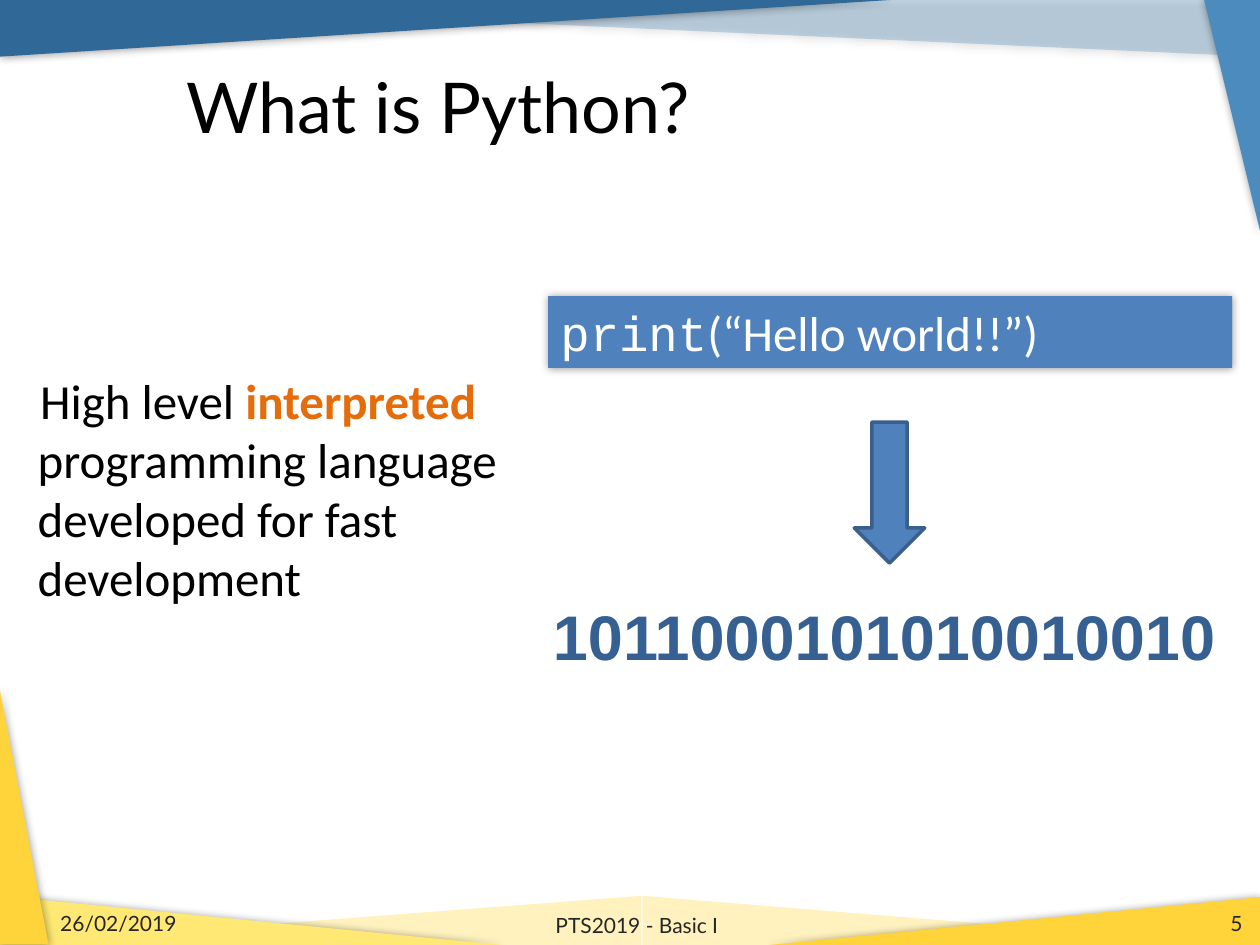
from dataclasses import dataclass

from lxml import etree
from pptx import Presentation
from pptx.dml.color import RGBColor
from pptx.enum.shapes import MSO_SHAPE
from pptx.enum.text import MSO_ANCHOR, PP_ALIGN
from pptx.oxml.ns import qn
from pptx.util import Emu, Pt

TRIANGLE, RECTANGLE, DOWN_ARROW = MSO_SHAPE.ISOSCELES_TRIANGLE, MSO_SHAPE.RECTANGLE, MSO_SHAPE.DOWN_ARROW
TOP, MIDDLE = MSO_ANCHOR.TOP, MSO_ANCHOR.MIDDLE
LEFT, CENTER, RIGHT = PP_ALIGN.LEFT, PP_ALIGN.CENTER, PP_ALIGN.RIGHT
TITLE_ONLY = 5
EMU_PER_PX = 9144
PAGE_WIDTH, PAGE_HEIGHT = 1000, 750


@dataclass(frozen=True)
class Theme:
    """Colours, fonts and type sizes of the deck."""
    navy: str = "306998"
    sky: str = "4B8BBE"
    gold: str = "FFD43B"
    lemon: str = "FFE873"
    cream: str = "FFF2BF"
    blue: str = "4F81BD"
    outline: str = "3A5F8C"
    binary: str = "376092"
    accent: str = "E46C0A"
    black: str = "000000"
    white: str = "FFFFFF"
    footer: str = "262626"
    heading_font: str = "Lato"
    body_font: str = "Calibri"
    code_font: str = "Courier New"
    binary_font: str = "Arial"
    title_size: int = 40
    binary_size: int = 36
    body_size: int = 28
    footer_size: int = 12


THEME = Theme()


def px(length):
    """Turn pixels into EMU."""
    return Emu(length * EMU_PER_PX)


def style_font(font, name, size, color, bold=False):
    """Set the look of a font."""
    font.name, font.size, font.bold = name, Pt(size), bold
    font.color.rgb = RGBColor.from_string(color)


def add_shadow(shape):
    """Give a shape a soft, centred shadow."""
    effects = shape._element.spPr.find(qn("a:effectLst"))
    shadow = etree.SubElement(effects, qn("a:outerShdw"), blurRad=str(Pt(5)), dist="0", dir="0")
    color = etree.SubElement(shadow, qn("a:srgbClr"), val=THEME.black)
    etree.SubElement(color, qn("a:alpha"), val="40000")


def add_solid(page, kind, box, color, shadow=False):
    """Add a filled shape without outline."""
    shape = page.shapes.add_shape(kind, *map(px, box))
    shape.fill.solid()
    shape.fill.fore_color.rgb = RGBColor.from_string(color)
    shape.line.fill.background()
    shape.shadow.inherit = False
    if shadow:
        add_shadow(shape)
    return shape


def add_wedge(page, box, color, flips="", rotation=0, opacity=100, shadow=True):
    """Add a right-angled triangle for the page border."""
    wedge = add_solid(page, TRIANGLE, box, color, shadow)
    wedge.adjustments[0] = 1
    wedge.rotation = rotation
    transform = wedge._element.spPr.find(qn("a:xfrm"))
    for axis in flips:
        transform.set(f"flip{axis}", "1")
    if opacity < 100:
        fill = wedge._element.spPr.find(qn("a:solidFill"))
        etree.SubElement(fill[0], qn("a:alpha"), val=str(opacity * 1000))


def add_text(page, box, text, anchor=TOP, align=LEFT, wrap=True):
    """Add a text box and return its frame and paragraph."""
    frame = page.shapes.add_textbox(*map(px, box)).text_frame
    frame.word_wrap, frame.vertical_anchor = wrap, anchor
    para = frame.paragraphs[0]
    para.text, para.alignment = text, align
    return frame, para


def add_border(page):
    """Draw the coloured wedges along the page edges."""
    add_wedge(page, (13, 0, 985, 45), THEME.sky, "H", 180, opacity=30)
    add_wedge(page, (510, 711, 478, 39), THEME.cream, "H", shadow=False)
    add_wedge(page, (-4, 711, 513, 39), THEME.cream, shadow=False)
    add_wedge(page, (0, 711, 398, 39), THEME.lemon, "H")
    add_wedge(page, (610, 712, 390, 38), THEME.gold)
    add_wedge(page, (0, 0, 707, 45), THEME.navy, "HV")
    add_wedge(page, (885, 70, 186, 45), THEME.sky, "HV", 90)
    add_wedge(page, (-83, 628, 204, 39), THEME.gold, rotation=90)


def set_title(page, box):
    """Place and fill the title placeholder."""
    title = page.shapes.title
    title.left, title.top, title.width, title.height = map(px, box)
    title.text_frame.vertical_anchor = MIDDLE
    para = title.text_frame.paragraphs[0]
    para.text, para.alignment = "What is Python?", LEFT
    style_font(para.font, THEME.heading_font, THEME.title_size, THEME.black)


def add_definition(page, box):
    """Add the definition with its highlighted word."""
    frame, para = add_text(page, box, "", MIDDLE)
    frame.margin_bottom = px(65)
    para.space_before = Pt(5.6)
    para._p.get_or_add_pPr().set("indent", str(px(2)))
    for text, color, bold in (
        ("High level ", THEME.black, False),
        ("interpreted", THEME.accent, True),
        (" programming language developed for fast development", THEME.black, False),
    ):
        span = para.add_run()
        span.text = text
        style_font(span.font, THEME.body_font, THEME.body_size, color, bold)


def add_translation(page, box):
    """Show source code turning into binary, from top to bottom."""
    left, top, width, height = box
    code = add_solid(page, RECTANGLE, (left, top, width, 57), THEME.blue, shadow=True)
    frame = code.text_frame
    frame.word_wrap, frame.vertical_anchor = True, MIDDLE
    para = frame.paragraphs[0]
    para.alignment = LEFT
    for text, font in (("print", THEME.code_font), ("(“Hello world!!”)", THEME.body_font)):
        span = para.add_run()
        span.text = text
        style_font(span.font, font, THEME.body_size, THEME.white)

    arrow_width = 56
    arrow_left = left + (width - arrow_width) // 2
    arrow = add_solid(page, DOWN_ARROW, (arrow_left, top + 100, arrow_width, 112), THEME.blue)
    arrow.line.color.rgb = RGBColor.from_string(THEME.outline)
    arrow.line.width = Pt(2)

    binary_box = (left - 6, top + height - 71, width + 6, 71)
    para = add_text(page, binary_box, "1011000101010010010", wrap=False)[1]
    style_font(para.font, THEME.binary_font, THEME.binary_size, THEME.binary, True)


def add_footer(page):
    """Add the date, the course name and the page number."""
    for box, text, align in (
        ((38, 721, 233, 23), "26/02/2019", LEFT),
        ((347, 714, 317, 40), "PTS2019 - Basic I", CENTER),
        ((763, 721, 233, 24), "5", RIGHT),
    ):
        para = add_text(page, box, text, MIDDLE, align)[1]
        style_font(para.font, THEME.heading_font, THEME.footer_size, THEME.footer)


def main():
    """Build and save the deck."""
    deck = Presentation()
    deck.slide_width, deck.slide_height = px(PAGE_WIDTH), px(PAGE_HEIGHT)
    page = deck.slides.add_slide(deck.slide_layouts[TITLE_ONLY])
    add_border(page)
    set_title(page, (138, 44, 812, 79))
    add_definition(page, (20, 170, 402, 495))
    add_translation(page, (435, 235, 543, 305))
    add_footer(page)
    deck.save("out.pptx")


if __name__ == "__main__":
    main()
